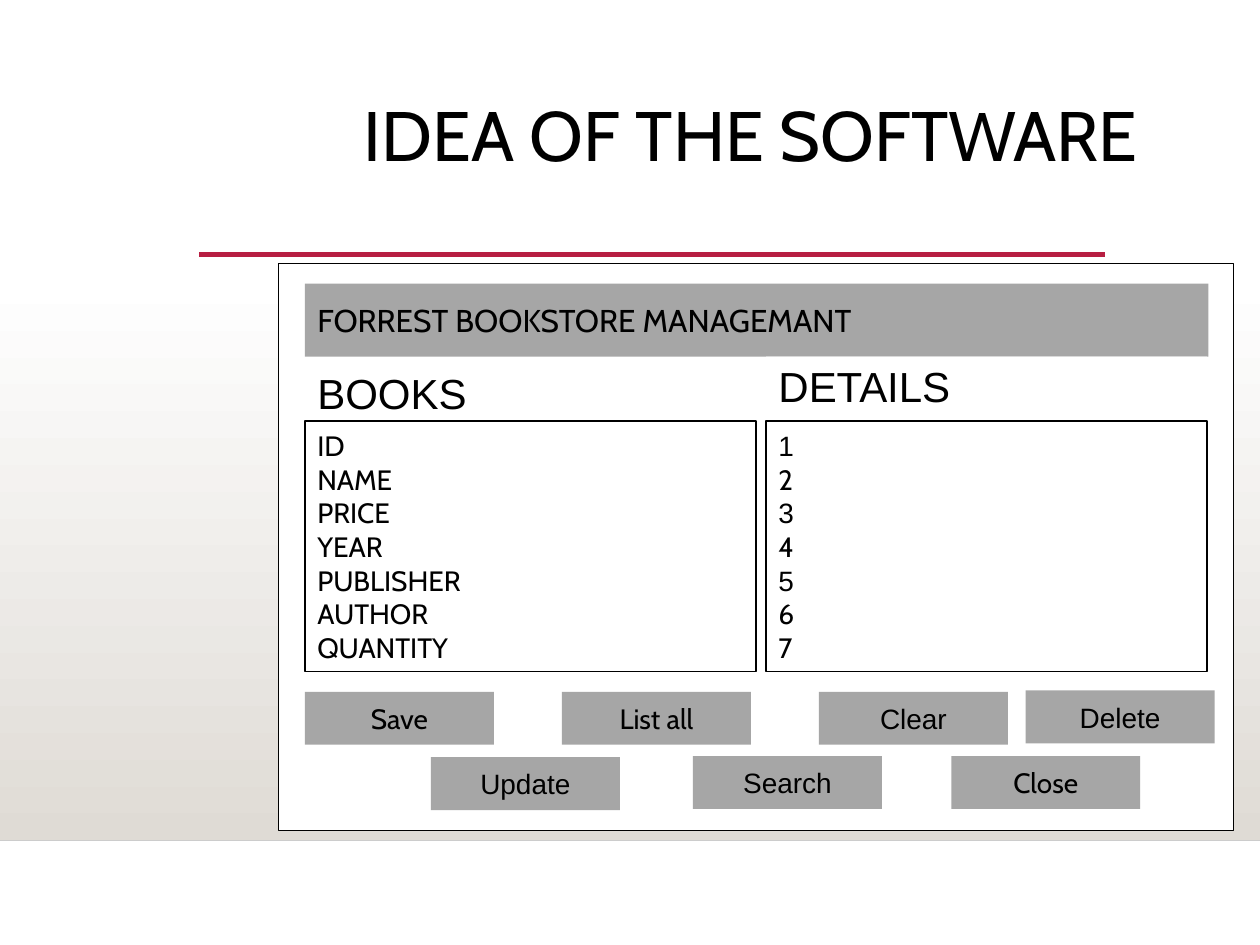
from pptx import Presentation
from pptx import util as u
from pptx.dml.color import RGBColor
from pptx.enum import shapes, text
from pptx.oxml.ns import qn
from lxml import etree

HUES = {"ink": "000000", "paper": "FFFFFF", "grey": "A6A6A6",
        "sand": "DFDBD5", "red": "B71E42", "edge": "CCCCCC"}
LEFT, MID = text.PP_ALIGN.LEFT, text.PP_ALIGN.CENTER


def hue(name):
    return RGBColor.from_string(HUES[name])


def write(frame, words, size, fonts, align=LEFT):
    frame.word_wrap = True
    frame.text = words
    for i, para in enumerate(frame.paragraphs):
        para.alignment = align
        para.font.size = u.Pt(size)
        para.font.name = fonts[i % len(fonts)]
        para.font.color.rgb = hue("ink")


def block(slide, x, y, w, h, fill="paper", line=None):
    box = slide.shapes.add_shape(
        shapes.MSO_SHAPE.RECTANGLE,
        u.Inches(x), u.Inches(y), u.Inches(w), u.Inches(h))
    box.shadow.inherit = False
    box.fill.solid()
    box.fill.fore_color.rgb = hue(fill)
    if line:
        box.line.color.rgb = hue(line)
        box.line.width = u.Pt(0.75)
    else:
        box.line.fill.background()
    box.text_frame.vertical_anchor = text.MSO_ANCHOR.MIDDLE
    return box


def rule(slide, x, y, w, color, width):
    line = slide.shapes.add_connector(
        shapes.MSO_CONNECTOR.STRAIGHT,
        u.Inches(x), u.Inches(y), u.Inches(x + w), u.Inches(y))
    line.line.color.rgb = hue(color)
    line.line.width = u.Pt(width)
    etree.SubElement(line._element.spPr, qn("a:effectLst"))


def backdrop(slide, x, y, w, h):
    fill = block(slide, x, y, w, h).fill
    fill.gradient()
    fill.gradient_angle = 270
    for stop, name in zip(fill.gradient_stops, ("paper", "sand")):
        stop.color.rgb = hue(name)
    rule(slide, x, y + h, w, "edge", 1)


def title(slide, x, y, w, h):
    box = slide.shapes.add_textbox(
        u.Inches(x), u.Inches(y), u.Inches(w), u.Inches(h))
    write(box.text_frame, "IDEA OF THE SOFTWARE", 40, ["Cabin"], MID)
    box.text_frame.paragraphs[0].line_spacing = 0.9


def panel(slide, x, y, w, head, top, tall, words, fonts):
    body = block(slide, x, y, w, 1.99, line="ink")
    write(body.text_frame, words, 16, fonts)
    label = block(slide, x, y - top, min(w, 3.58), tall)
    write(label.text_frame, head, 24, ["Arial"])


def buttons(slide, x, y):
    keys = [("Save", 0, 0, "Cabin"), ("List all", 2.04, 0, "Cabin"),
            ("Clear", 4.08, 0, "Arial"), ("Delete", 5.72, -0.01, "Arial"),
            ("Update", 1, 0.52, "Arial"), ("Search", 3.08, 0.51, "Arial"),
            ("Close", 5.13, 0.51, "Cabin")]
    for name, dx, dy, font in keys:
        key = block(slide, x + dx, y + dy, 1.5, 0.42, "grey")
        write(key.text_frame, name, 16, [font], MID)


def window(slide, x, y, w, h):
    block(slide, x, y, w, h, line="ink")
    left = x + 0.21
    bar = block(slide, left, y + 0.16, 7.17, 0.58, "grey")
    write(bar.text_frame, "FORREST BOOKSTORE MANAGEMANT", 18, ["Cabin"])
    panel(slide, left, y + 1.25, 3.58, "BOOKS", 0.4, 0.35,
          "ID\nNAME\vPRICE\vYEAR\vPUBLISHER\vAUTHOR\vQUANTITY", ["Cabin"])
    panel(slide, x + 3.87, y + 1.25, 3.5, "DETAILS", 0.51, 0.46,
          "\n".join(str(n) for n in range(1, 8)),
          ["Arial", "Cabin", "Arial", "Cabin", "Arial", "Cabin", "Cabin"])
    buttons(slide, left, y + 3.4)


def main():
    deck = Presentation()
    deck.slide_width, deck.slide_height = u.Inches(10), u.Inches(7.5)
    slide = deck.slides.add_slide(deck.slide_layouts[6])
    backdrop(slide, 0, 2.2, 10, 4.47)
    rule(slide, 1.58, 2.02, 7.19, "red", 2.5)
    title(slide, 2.17, 0.75, 7.58, 0.78)
    window(slide, 2.21, 2.09, 7.58, 4.5)
    deck.save("out.pptx")


if __name__ == "__main__":
    main()
